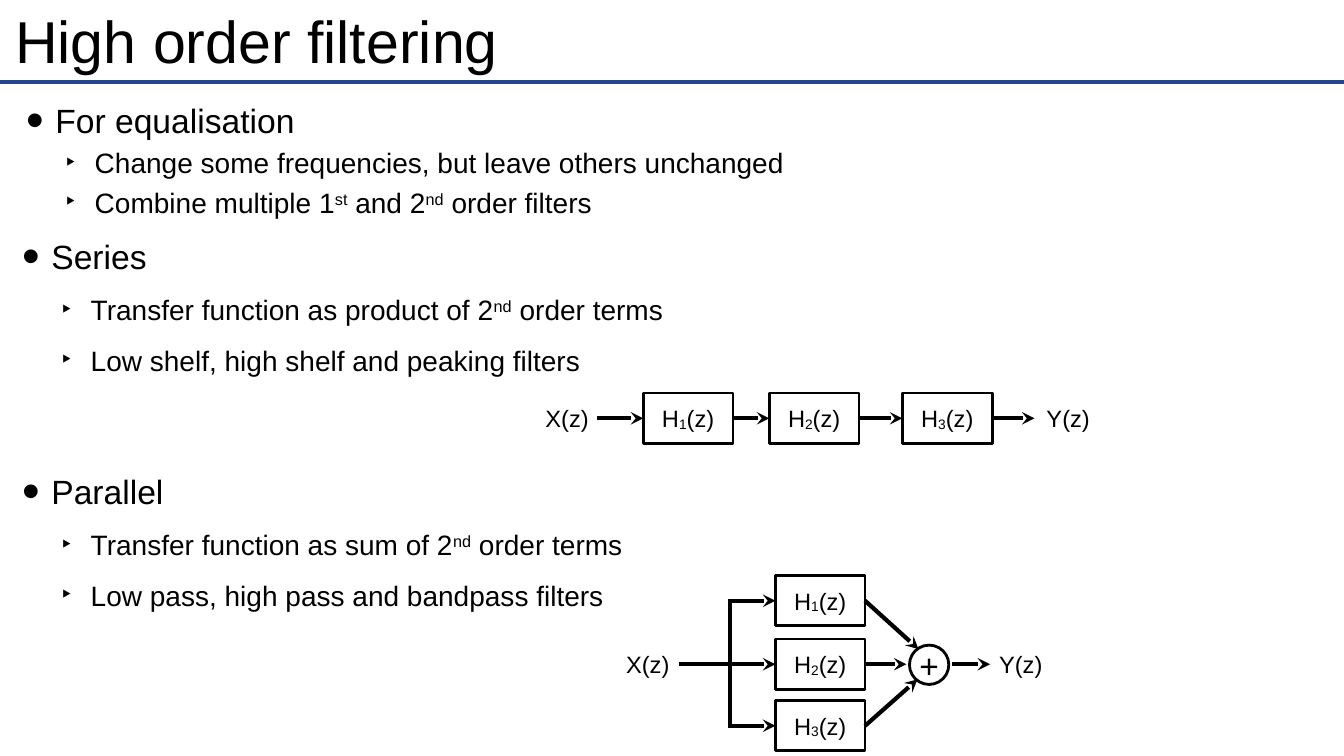
from typing import NamedTuple, Union

from lxml import etree
from pptx import Presentation
from pptx.dml.color import RGBColor
from pptx.enum.shapes import MSO_CONNECTOR, MSO_SHAPE
from pptx.enum.text import MSO_ANCHOR, MSO_AUTO_SIZE, PP_ALIGN
from pptx.oxml.ns import qn
from pptx.shapes.autoshape import Shape
from pptx.util import Inches, Pt

COLOURS = {"ink": "000000", "paper": "FFFFFF", "rule": "254789"}
FONT = "Arial"
BOX_WIDTH, BOX_HEIGHT = 0.89, 0.5
LABEL_WIDTH, LABEL_HEIGHT = 0.53, 0.28
LEFT_SIDE, RIGHT_SIDE = 1, 3


class Bullet(NamedTuple):
    """One list line; text between bars is raised."""
    text: str
    level: int
    indent: float
    space_before: float


class Point(NamedTuple):
    x: float
    y: float


End = Union[Shape, Point]


class Link(NamedTuple):
    start: End
    end: End
    arrow: bool = True


BULLETS = [
    Bullet("For equalisation", 0, 0.49, 0),
    Bullet("Change some frequencies, but leave others unchanged", 1, 0.88, 4.2),
    Bullet("Combine multiple 1|st| and 2|nd| order filters", 1, 0.88, 4.2),
    Bullet("Series", 0, 0.45, 12),
    Bullet("Transfer function as product of 2|nd| order terms", 1, 0.84, 12),
    Bullet("Low shelf, high shelf and peaking filters", 1, 0.84, 12),
    Bullet("Parallel", 0, 0.45, 67),
    Bullet("Transfer function as sum of 2|nd| order terms", 1, 0.84, 12),
    Bullet("Low pass, high pass and bandpass filters", 1, 0.84, 12),
]


def colour(name: str) -> RGBColor:
    return RGBColor.from_string(COLOURS[name])


def set_insets(frame, inset: float) -> None:
    frame.margin_left = frame.margin_right = Inches(inset)
    frame.margin_top = frame.margin_bottom = Inches(inset)


def write_text(para, text: str, size: float, shift: int = 0) -> None:
    """Fill a paragraph, shifting the baseline of text between bars."""
    para.font.name = FONT
    para.font.size = Pt(size)
    para.font.color.rgb = colour("ink")
    for index, part in enumerate(text.split("|")):
        span = para.add_run()
        span.text = part
        if index % 2:
            span._r.get_or_add_rPr().set("baseline", str(shift * 1000))


def centre_text(shape: Shape, text: str, size: float) -> None:
    frame = shape.text_frame
    frame.word_wrap = False
    frame.vertical_anchor = MSO_ANCHOR.MIDDLE
    set_insets(frame, 0)
    frame.paragraphs[0].alignment = PP_ALIGN.CENTER
    write_text(frame.paragraphs[0], text, size, shift=-6)


def add_bullet(para, bullet: Bullet) -> None:
    properties = para._p.get_or_add_pPr()
    properties.set("marL", str(Inches(bullet.indent)))
    properties.set("indent", str(Inches(-0.29)))
    if bullet.level == 0:
        etree.SubElement(properties, qn("a:buSzPct"), val="150000")
    etree.SubElement(properties, qn("a:buFont"), typeface=FONT)
    etree.SubElement(properties, qn("a:buChar"), char="•‣"[bullet.level])
    para.level = bullet.level
    para.space_before = Pt(bullet.space_before)
    write_text(para, bullet.text, (24, 20)[bullet.level], shift=30)


def add_node(page, kind: MSO_SHAPE, left: float, top: float, width: float,
             height: float, text: str, size: float = 16.9) -> Shape:
    node = page.shapes.add_shape(kind, Inches(left), Inches(top), Inches(width), Inches(height))
    node.shadow.inherit = False
    node.fill.solid()
    node.fill.fore_color.rgb = colour("paper")
    node.line.color.rgb = colour("ink")
    node.line.width = Pt(2)
    centre_text(node, text, size)
    return node


def add_filter(page, number: int, left: float, top: float) -> Shape:
    return add_node(page, MSO_SHAPE.RECTANGLE, left, top, BOX_WIDTH, BOX_HEIGHT, f"H|{number}|(z)")


def add_label(page, text: str, left: float, top: float) -> None:
    label = page.shapes.add_textbox(Inches(left), Inches(top),
                                    Inches(LABEL_WIDTH), Inches(LABEL_HEIGHT))
    centre_text(label, text, 16.9)


def add_link(page, link: Link, ink: str = "ink") -> None:
    """Draw a line; a box as an end joins the middle of its facing side."""
    ends = [Point(0, 0) if isinstance(end, Shape) else end for end in (link.start, link.end)]
    line = page.shapes.add_connector(
        MSO_CONNECTOR.STRAIGHT, *(Inches(value) for end in ends for value in end))
    if isinstance(link.start, Shape):
        line.begin_connect(link.start, RIGHT_SIDE)
    if isinstance(link.end, Shape):
        line.end_connect(link.end, LEFT_SIDE)
    line.line.color.rgb = colour(ink)
    line.line.width = Pt(3)
    if link.arrow:
        etree.SubElement(line.line._get_or_add_ln(), qn("a:tailEnd"), type="stealth")
    etree.SubElement(line._element.spPr, qn("a:effectLst"))


def add_title(page) -> None:
    title = page.shapes.title
    title.left, title.top = Inches(0.09), Inches(0.04)
    title.width, title.height = Inches(13.14), Inches(0.71)
    frame = title.text_frame
    frame.auto_size = MSO_AUTO_SIZE.NONE
    frame.vertical_anchor = MSO_ANCHOR.MIDDLE
    set_insets(frame, 0.06)
    frame.paragraphs[0].alignment = PP_ALIGN.LEFT
    write_text(frame.paragraphs[0], "High order filtering", 42.2)
    add_link(page, Link(Point(0, 0.81), Point(13.33, 0.81), arrow=False), "rule")


def add_body(page) -> None:
    body = page.shapes.add_textbox(0, Inches(0.93), Inches(13.33), Inches(6.5))
    frame = body.text_frame
    frame.word_wrap = True
    set_insets(frame, 0.06)
    for index, bullet in enumerate(BULLETS):
        add_bullet(frame.add_paragraph() if index else frame.paragraphs[0], bullet)


def add_series(page) -> None:
    middle = 4.15
    first, second, third = (add_filter(page, number, left, middle - BOX_HEIGHT / 2)
                            for number, left in enumerate((6.38, 7.63, 8.95), start=1))
    for text, left in (("X(z)", 5.36), ("Y(z)", 10.33)):
        add_label(page, text, left, middle - LABEL_HEIGHT / 2)
    for link in (Link(Point(5.92, middle), first), Link(first, second),
                 Link(second, third), Link(third, Point(10.26, middle))):
        add_link(page, link)


def add_parallel(page) -> None:
    middle, fork = 6.59, 7.24
    upper, centre, lower = (add_filter(page, number, 7.69, top)
                            for number, top in enumerate((5.71, 6.34, 6.95), start=1))
    add_node(page, MSO_SHAPE.OVAL, 9.02, 6.4, 0.39, 0.39, "+", 23.9)
    for text, left in (("X(z)", 6.16), ("Y(z)", 9.86)):
        add_label(page, text, left, middle - LABEL_HEIGHT / 2)
    for link in (Link(Point(fork, 5.96), upper), Link(Point(6.73, middle), centre),
                 Link(Point(fork, 7.2), lower),
                 Link(Point(fork, 5.94), Point(fork, 7.22), arrow=False),
                 Link(upper, Point(9.11, 6.44)), Link(centre, Point(8.99, middle)),
                 Link(lower, Point(9.1, 6.74)), Link(Point(9.44, middle), Point(9.82, middle))):
        add_link(page, link)


def main() -> None:
    deck = Presentation()
    deck.slide_width, deck.slide_height = Inches(13.33), Inches(7.5)
    page = deck.slides.add_slide(deck.slide_layouts[5])
    page.background.fill.solid()
    page.background.fill.fore_color.rgb = colour("paper")
    # Heading and list
    add_title(page)
    add_body(page)
    # Block diagrams
    add_series(page)
    add_parallel(page)
    deck.save("out.pptx")


if __name__ == "__main__":
    main()
